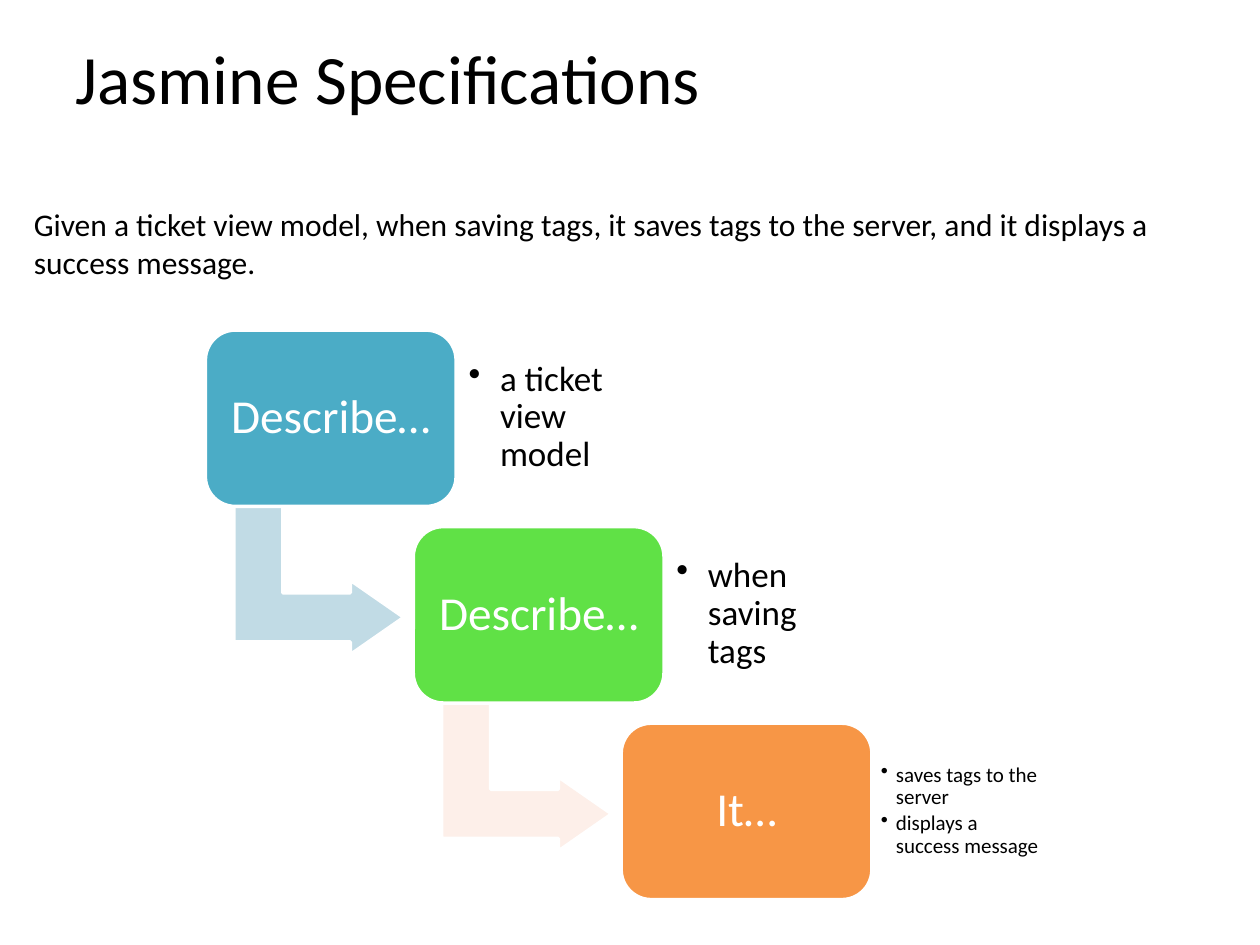
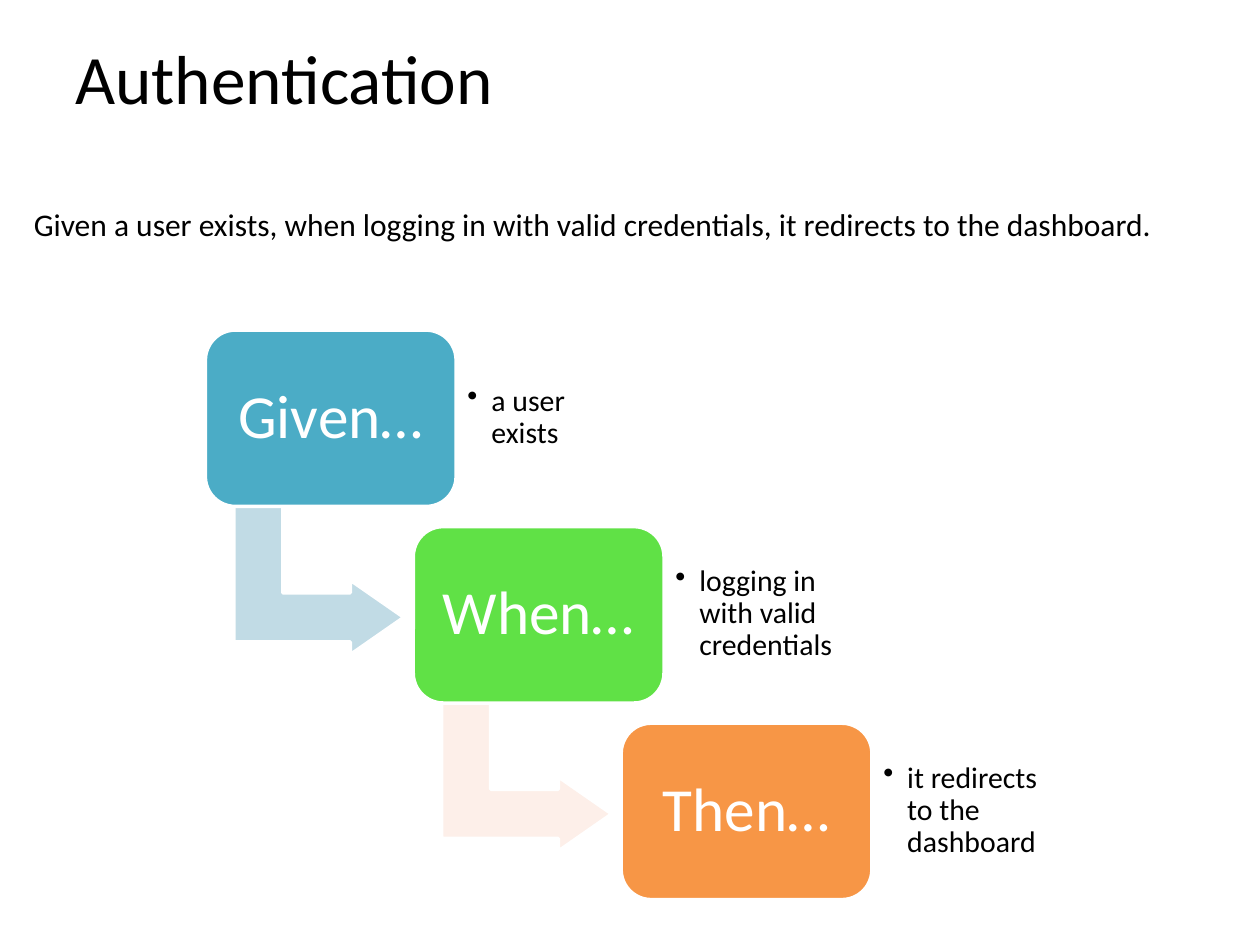
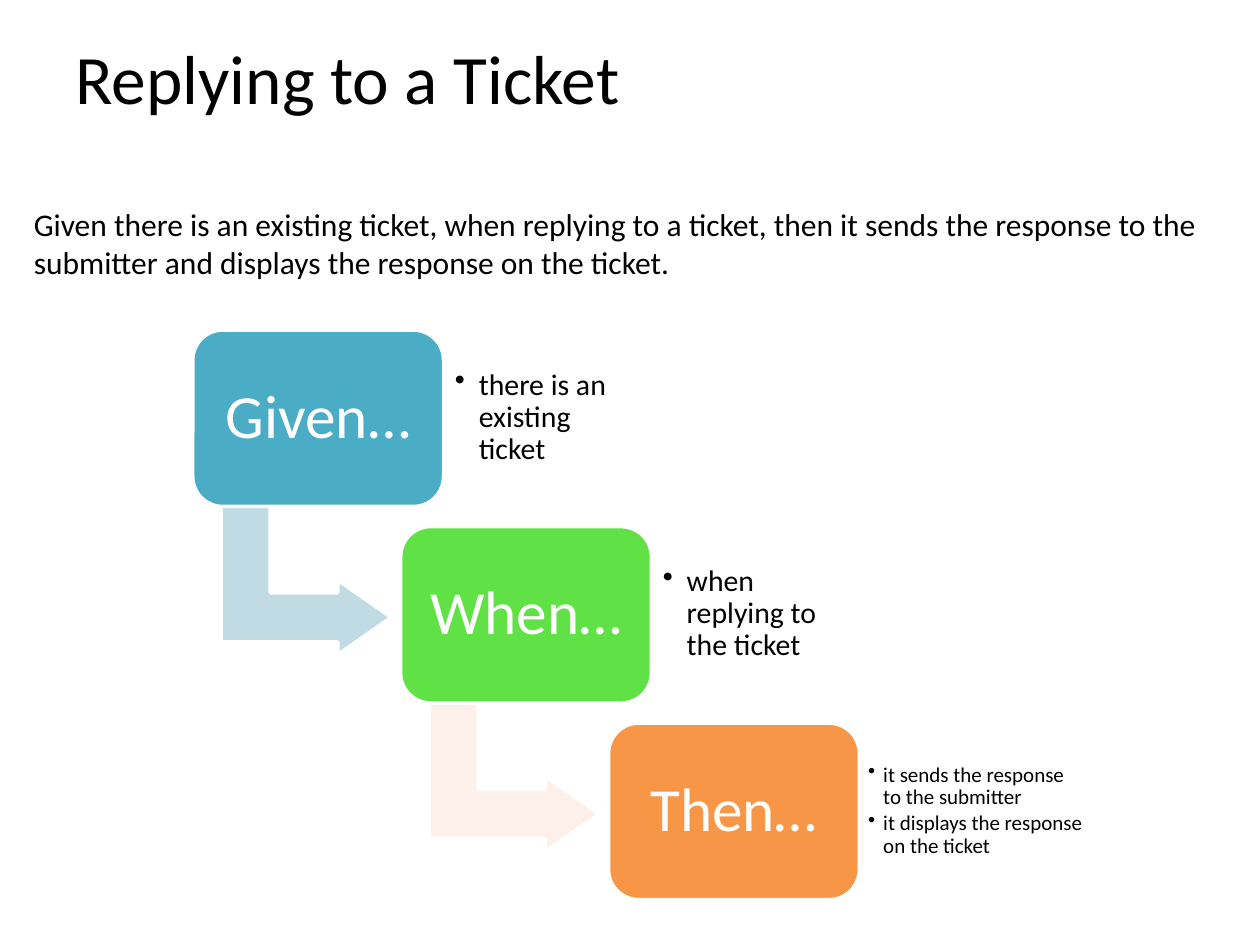
from lxml.etree import SubElement
from pptx import Presentation
from pptx.dml.color import RGBColor
from pptx.enum.shapes import MSO_SHAPE as Shape
from pptx.enum.text import MSO_ANCHOR as Anchor, MSO_AUTO_SIZE as AutoSize, PP_ALIGN as Align
from pptx.oxml.ns import qn
from pptx.util import Inches, Pt

COLORS = {
    "text": "000000",
    "label": "FFFFFF",
    "outline": "FFFFFF",
    "steps": ["4BACC6", "60E146", "F79646"],
    "arrows": ["C1DBE5", "FDEFE9"],
}
FONT = "Calibri"

# Stairs of rounded boxes, in inches
STAIRS_TOP = 2.62
STEP_RIGHT, STEP_DOWN = 1.65, 1.56
BOX_WIDTH, BOX_HEIGHT = 1.99, 1.4
LABEL_MARGIN = 0.07

# Text size in points: inset, and for details also the hanging indent, in inches
LABEL_INSETS = {27: 0.11, 35: 0.15}
DETAIL_SPACING = {20: (0.1, 0.25), 17: (0.09, 0.19), 12: (0.07, 0.12)}

# Each step: label, details, size of the details, width of the details
SLIDES = [
    {
        "title": "Jasmine Specifications",
        "intro": "Given a ticket view model, when saving tags, it saves tags to the server, "
                 "and it displays a success message.",
        "intro_height": 0.71,
        "left": 1.63,
        "label_size": 27,
        "steps": [
            ("Describe…", ["a ticket view model"], 20, 1.45),
            ("Describe…", ["when saving tags"], 20, 1.45),
            ("It…", ["saves tags to the server", "displays a success message"], 12, 1.45),
        ],
    },
    {
        "title": "Authentication",
        "intro": "Given a user exists, when logging in with valid credentials, "
                 "it redirects to the dashboard.",
        "intro_height": 0.4,
        "left": 1.63,
        "label_size": 35,
        "steps": [
            ("Given…", ["a user exists"], 17, 1.45),
            ("When…", ["logging in with valid credentials"], 17, 1.45),
            ("Then…", ["it redirects to the dashboard"], 17, 1.45),
        ],
    },
    {
        "title": "Replying to a Ticket",
        "intro": "Given there is an existing ticket, when replying to a ticket, then it sends "
                 "the response to the submitter and displays the response on the ticket.",
        "intro_height": 0.71,
        "left": 1.53,
        "label_size": 35,
        "steps": [
            ("Given…", ["there is an existing ticket"], 17, 1.45),
            ("When…", ["when replying to the ticket"], 17, 1.45),
            ("Then…", ["it sends the response to the submitter",
                       "it displays the response on the ticket"], 12, 1.87),
        ],
    },
]


def set_attributes(target, values):
    for name, value in values.items():
        setattr(target, name, value)


def add_text(shapes, box, lines, size, color="text", inset=None, frame_format=None,
             paragraph_format=None):
    """Add a wrapping text box with one paragraph per line; return its paragraphs."""
    frame = shapes.add_textbox(*map(Inches, box)).text_frame
    set_attributes(frame, {"word_wrap": True, **(frame_format or {})})
    if inset is not None:
        sides = ("left", "top", "right", "bottom")
        set_attributes(frame, {f"margin_{side}": Inches(inset) for side in sides})
    for index, line in enumerate(lines):
        paragraph = frame.paragraphs[0] if index == 0 else frame.add_paragraph()
        set_attributes(paragraph, paragraph_format or {})
        run = paragraph.add_run()
        run.text = line
        set_attributes(run.font, {"name": FONT, "size": Pt(size)})
        run.font.color.rgb = RGBColor.from_string(COLORS[color])
    return frame.paragraphs


def add_bullet(paragraph, indent):
    properties = paragraph._p.get_or_add_pPr()
    properties.set("marL", str(Inches(indent)))
    properties.set("indent", str(-Inches(indent)))
    SubElement(properties, qn("a:buChar")).set("char", "•")


def add_outlined_shape(shapes, kind, box, fill, adjustments):
    shape = shapes.add_shape(kind, *map(Inches, box))
    shape.shadow.inherit = False
    shape.fill.solid()
    shape.fill.fore_color.rgb = RGBColor.from_string(fill)
    shape.line.color.rgb = RGBColor.from_string(COLORS["outline"])
    shape.line.width = Pt(2)
    for index, value in enumerate(adjustments):
        shape.adjustments[index] = value
    return shape


def add_arrow(shapes, left, top, fill):
    """Add the arrow that leads from the box at left, top to the next one."""
    arrow = add_outlined_shape(shapes, Shape.BENT_UP_ARROW, (left + 0.31, top + 1.31, 1.18, 1.35),
                               fill, (0.33, 0.25, 0.36))
    arrow.rotation = 90


def add_label(shapes, left, top, label, size):
    box = (left + LABEL_MARGIN, top + LABEL_MARGIN,
           BOX_WIDTH - 2 * LABEL_MARGIN, BOX_HEIGHT - 2 * LABEL_MARGIN)
    add_text(shapes, box, [label], size, "label", LABEL_INSETS[size],
             {"vertical_anchor": Anchor.MIDDLE},
             {"alignment": Align.CENTER, "line_spacing": 0.9})


def add_details(shapes, left, top, details, size, width):
    inset, indent = DETAIL_SPACING[size]
    paragraphs = add_text(shapes, (left + BOX_WIDTH, top + 0.13, width, 1.13), details, size,
                          inset=inset, frame_format={"vertical_anchor": Anchor.MIDDLE},
                          paragraph_format={"level": 1, "line_spacing": 0.9,
                                            "space_after": Pt(0.15 * size)})
    for paragraph in paragraphs:
        add_bullet(paragraph, indent)


def add_stairs(slide, first_left, label_size, steps):
    shapes = slide.shapes.add_group_shape().shapes
    for index, (label, details, detail_size, detail_width) in enumerate(steps):
        left = first_left + index * STEP_RIGHT
        top = STAIRS_TOP + index * STEP_DOWN
        if index < len(steps) - 1:
            add_arrow(shapes, left, top, COLORS["arrows"][index])
        add_outlined_shape(shapes, Shape.ROUNDED_RECTANGLE, (left, top, BOX_WIDTH, BOX_HEIGHT),
                           COLORS["steps"][index], (0.17,))
        add_label(shapes, left, top, label, label_size)
        add_details(shapes, left, top, details, detail_size, detail_width)


def main():
    presentation = Presentation()
    set_attributes(presentation, {"slide_width": Inches(10), "slide_height": Inches(7.5)})
    for content in SLIDES:
        slide = presentation.slides.add_slide(presentation.slide_layouts[6])
        add_text(slide.shapes, (0.5, 0.3, 9, 0.62), [content["title"]], 39.6,
                 frame_format={"vertical_anchor": Anchor.MIDDLE})
        add_stairs(slide, content["left"], content["label_size"], content["steps"])
        add_text(slide.shapes, (0.17, 1.58, 9.67, content["intro_height"]), [content["intro"]], 18,
                 frame_format={"auto_size": AutoSize.SHAPE_TO_FIT_TEXT})
    presentation.save("out.pptx")


if __name__ == "__main__":
    main()
